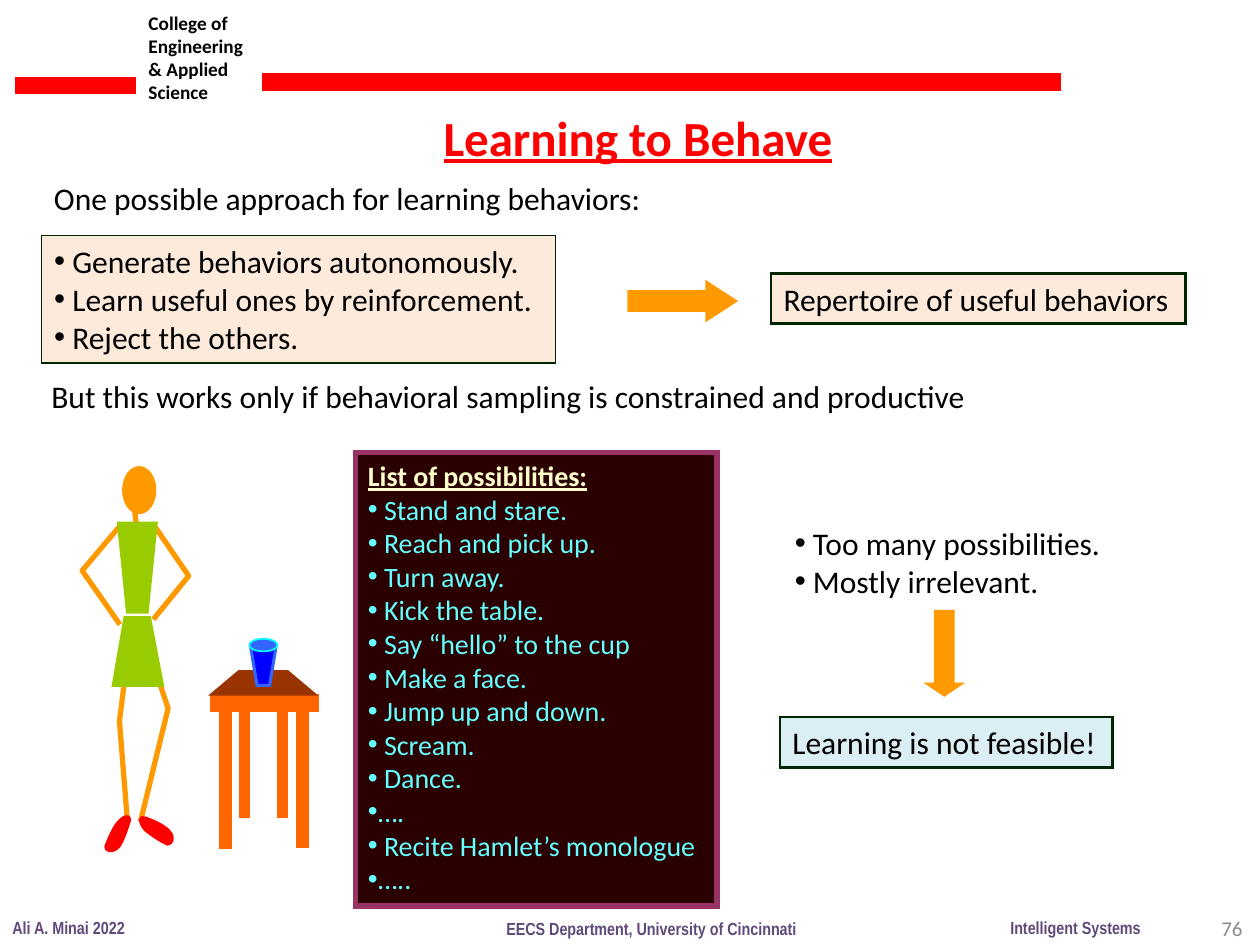
"""Build the "Learning to Behave" slide."""
from lxml.etree import SubElement
from pptx import Presentation
from pptx.dml.color import RGBColor
from pptx.enum.shapes import MSO_CONNECTOR, MSO_SHAPE
from pptx.enum.text import MSO_ANCHOR, MSO_AUTO_SIZE, PP_ALIGN
from pptx.oxml.ns import qn
from pptx.util import Inches, Pt

ORANGE, GREEN, RED, WOOD = "FF9900", "99CC00", "FF0000", "FF6600"
BLACK, CYAN, DARK = "000000", "66FFFF", "002600"

TITLE = "Learning to Behave"
STEPS = ["Generate behaviors autonomously.", "Learn useful ones by reinforcement.",
         "Reject the others."]
HEADING = "List of possibilities:"
POSSIBILITIES = ["Stand and stare.", "Reach and pick up.", "Turn away.", "Kick the table.",
                 "Say “hello” to the cup", "Make a face.", "Jump up and down.", "Scream.",
                 "Dance.", "….", "Recite Hamlet’s monologue", "….."]
PROBLEMS = ["Too many possibilities.", "Mostly irrelevant."]
STATEMENTS = [
    ("One possible approach for learning behaviors:", (0.33, 1.37, 4.91, 0.4)),
    ("But this works only if behavioral sampling is constrained and productive",
     (0.31, 2.94, 8.27, 0.43)),
]
RESULTS = [
    ("Repertoire of useful behaviors", (6.12, 2.17, 3.29, 0.4), "FDEADA"),
    ("Learning is not feasible!", (6.19, 5.69, 2.64, 0.4), "DBEEF4"),
]
FOOTERS = [
    ("Ali A. Minai 2022", (0, 7.23, 1.1, 0.27)),
    ("Intelligent Systems", (7.92, 7.23, 1.24, 0.27)),
    ("EECS Department, University of Cincinnati", (3.92, 7.24, 2.52, 0.27)),
]
BARS = [(0.12, 0.68, 1.08, 0.68), (2.08, 0.65, 8.42, 0.65)]
LIMBS = [
    (1.23, 4.18, 1.49, 4.56), (1.49, 4.58, 1.23, 4.9),
    (0.93, 4.2, 0.66, 4.52), (0.66, 4.54, 0.94, 4.94),
    (1.07, 4.06, 1.08, 4.15),
    (1.15, 5.07, 1.33, 5.61), (1.33, 5.64, 1.12, 6.5),
    (1.03, 5.07, 0.95, 5.71), (0.95, 5.75, 1.01, 6.5),
]
SHOES = [
    [(1.14, 6.5), (1.11, 6.49), (1.13, 6.55), (1.16, 6.58), (1.19, 6.61), (1.3, 6.68),
     (1.33, 6.69), (1.36, 6.69), (1.37, 6.64), (1.34, 6.61), (1.32, 6.57), (1.17, 6.5),
     (1.14, 6.5)],
    [(1.02, 6.51), (1.02, 6.47), (0.97, 6.5), (0.94, 6.54), (0.91, 6.57), (0.86, 6.69),
     (0.85, 6.72), (0.85, 6.75), (0.9, 6.75), (0.93, 6.72), (0.96, 6.7), (1.01, 6.54),
     (1.02, 6.51)],
]
CLOTHES = [
    [(0.95, 4.16), (1.02, 4.85), (1.16, 4.85), (1.23, 4.16)],
    [(0.91, 5.43), (1, 4.91), (1.18, 4.91), (1.28, 5.43)],
]
BACK_LEGS = [(2.24, 5.44), (1.94, 5.44)]
FRONT_LEGS = [(1.79, 5.68), (2.4, 5.67)]
LEG_HEIGHT = 1.01
TABLE_TOP = [(1.71, 5.5), (1.9, 5.34), (2.28, 5.34), (2.47, 5.5)]
CUP = [(1.99, 5.14), (2.04, 5.44), (2.14, 5.44), (2.19, 5.14)]


def rgb(color):
    return RGBColor.from_string(color)


def paint(sp, fill=None, line=None, width=1):
    if fill:
        sp.fill.solid()
        sp.fill.fore_color.rgb = rgb(fill)
    if line:
        sp.line.color.rgb = rgb(line)
        sp.line.width = Pt(width)
        SubElement(sp._element.spPr.find(qn("a:ln")), qn("a:miter")).set("lim", "800000")
    else:
        sp.line.fill.background()


def place(sp, box):
    sp.left, sp.top, sp.width, sp.height = map(Inches, box)
    return sp


def write(sp, lines, size, color=BLACK, bold=False, underline=False, bullet=False,
          heading=None, font="Calibri", align=PP_ALIGN.LEFT, anchor=MSO_ANCHOR.TOP,
          wrap=False):
    tf = sp.text_frame
    tf.word_wrap = wrap
    tf.auto_size = MSO_AUTO_SIZE.NONE if sp.is_placeholder else MSO_AUTO_SIZE.SHAPE_TO_FIT_TEXT
    tf.vertical_anchor = anchor
    rows = [(text, color, bold, underline, bullet) for text in lines]
    if heading:
        rows.insert(0, (heading, "FFFFCC", True, True, False))
    for i, (text, tint, strong, under, dot) in enumerate(rows):
        p = tf.add_paragraph() if i else tf.paragraphs[0]
        p.alignment = align
        p.space_before = p.space_after = Pt(0)
        p.line_spacing = 1.0
        gap = (0.08 if text.startswith("…") else size * 0.008) if dot else 0
        pPr = p._p.get_or_add_pPr()
        pPr.set("marL", str(Inches(gap)))
        pPr.set("indent", str(-Inches(gap)))
        if dot:
            SubElement(pPr, qn("a:buFont")).set("typeface", "Arial")
            SubElement(pPr, qn("a:buChar")).set("char", "•")
        else:
            SubElement(pPr, qn("a:buNone"))
        r = p.add_run()
        r.text = text
        r.font.name, r.font.size = font, Pt(size)
        r.font.bold, r.font.underline = strong, under
        r.font.color.rgb = rgb(tint)


def add_text(shapes, box, lines, size, **style):
    write(shapes.add_textbox(*map(Inches, box)), lines, size, **style)


def add_line(shapes, ends, color, width, cap="flat"):
    sp = shapes.add_connector(MSO_CONNECTOR.STRAIGHT, *map(Inches, ends))
    paint(sp, line=color, width=width)
    sp._element.spPr.find(qn("a:ln")).set("cap", cap)
    SubElement(sp._element.spPr, qn("a:effectLst"))


def add_preset(shapes, kind, box, fill, line=None, width=1, adjust=()):
    sp = shapes.add_shape(kind, *map(Inches, box))
    sp.shadow.inherit = False
    paint(sp, fill, line, width)
    for i, value in enumerate(adjust):
        sp.adjustments[i] = value
    return sp


def add_outline(shapes, points, fill, line, width=3):
    corners = [(Inches(x), Inches(y)) for x, y in points]
    pen = shapes.build_freeform(*corners[0])
    pen.add_line_segments(corners[1:], close=True)
    sp = pen.convert_to_shape()
    sp.shadow.inherit = False
    paint(sp, fill, line, width)


def smooth_curve(points, steps=8):
    """Sample a chain of cubic Bezier segments."""
    curve = [points[0]]
    for i in range(0, len(points) - 1, 3):
        for k in range(1, steps + 1):
            t = k / steps
            weights = ((1 - t) ** 3, 3 * t * (1 - t) ** 2, 3 * t * t * (1 - t), t ** 3)
            curve.append(tuple(sum(w * pt[axis] for w, pt in zip(weights, points[i:i + 4]))
                               for axis in (0, 1)))
    return curve


def draw_person(shapes):
    for limb in LIMBS:
        add_line(shapes, limb, ORANGE, 3, "sq")
    add_preset(shapes, MSO_SHAPE.OVAL, (0.99, 3.72, 0.23, 0.34), ORANGE, ORANGE, 3)
    for garment in CLOTHES:
        add_outline(shapes, garment, GREEN, GREEN)
    for shoe in SHOES:
        add_outline(shapes, smooth_curve(shoe), RED, RED)


def draw_table(shapes):
    def add_legs(legs, width):
        for x, y in legs:
            add_line(shapes, (x, y, x, y + LEG_HEIGHT), WOOD, width, "sq")

    add_legs(BACK_LEGS, 6.25)
    add_preset(shapes, MSO_SHAPE.RECTANGLE, (1.69, 5.53, 0.82, 0.1), WOOD, WOOD, 3)
    add_legs(FRONT_LEGS, 7.25)
    add_outline(shapes, TABLE_TOP, "993300", "993300")
    add_outline(shapes, CUP, "0000FF", "3366FF", 1.75)
    add_preset(shapes, MSO_SHAPE.OVAL, (1.98, 5.07, 0.22, 0.1), "3366FF", "00FFFF")


def main():
    prs = Presentation()
    prs.slide_width, prs.slide_height = Inches(10), Inches(7.5)
    s = prs.slides.add_slide(prs.slide_layouts[3])
    shapes = s.shapes
    title, steps, options = s.placeholders

    add_text(shapes, (1.08, 0.04, 1.09, 0.84), ["College of Engineering & Applied", "Science"],
             11, bold=True, wrap=True)
    for bar in BARS:
        add_line(shapes, bar, RED, 10)
    add_text(shapes, (7.63, 7.17, 2.33, 0.4), ["76"], 12, color="8C8C8C",
             align=PP_ALIGN.RIGHT, anchor=MSO_ANCHOR.MIDDLE, wrap=True)
    for text, box in FOOTERS:
        add_text(shapes, box, [text], 10, color="604A7B", bold=True, font="Arial Narrow")

    write(place(title, (3.42, 0.8, 3.33, 0.57)), [TITLE], 28, RED, bold=True, underline=True)
    write(place(steps, (0.33, 1.87, 4.08, 1.01)), STEPS, 18, bullet=True)
    paint(steps, "FDEADA", DARK)
    write(place(options, (2.82, 3.59, 2.87, 3.6)), POSSIBILITIES, 16, CYAN, bullet=True,
          heading=HEADING)
    paint(options, "2A0000", "993366", 3)

    for text, box in STATEMENTS:
        add_text(shapes, box, [text], 18)
    add_text(shapes, (6.21, 4.11, 2.96, 0.77), PROBLEMS, 18, bullet=True)
    for text, box, fill in RESULTS:
        write(add_preset(shapes, MSO_SHAPE.RECTANGLE, box, fill, DARK, 1.5), [text], 18)
    add_preset(shapes, MSO_SHAPE.RIGHT_ARROW, (5, 2.26, 0.82, 0.26), ORANGE, ORANGE, 3,
               (0.5, 0.77))
    add_preset(shapes, MSO_SHAPE.DOWN_ARROW, (7.33, 4.84, 0.33, 0.69), ORANGE,
               adjust=(0.5, 0.34))
    draw_person(shapes)
    draw_table(shapes.add_group_shape().shapes)
    prs.save("out.pptx")


if __name__ == "__main__":
    main()
